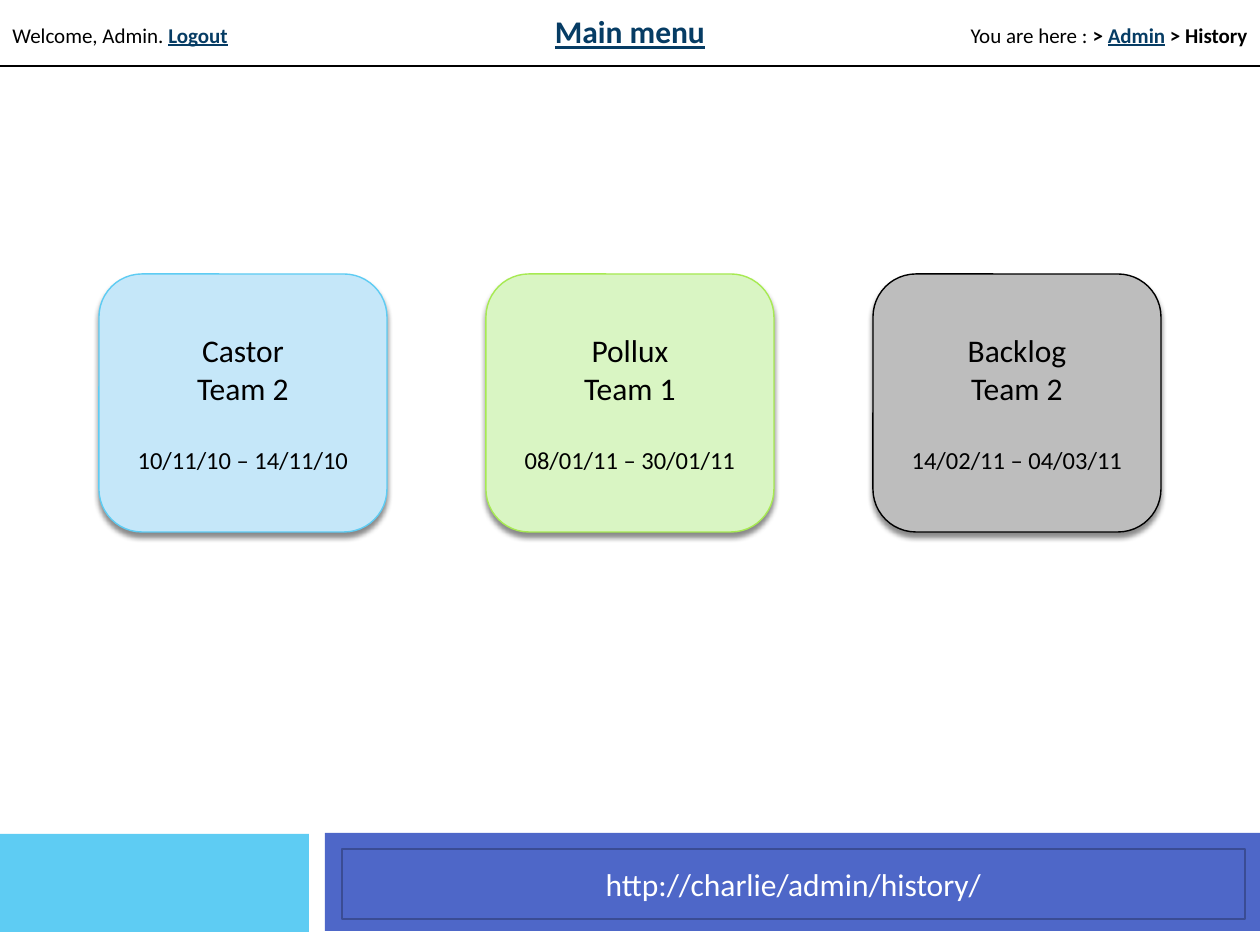
from dataclasses import dataclass

from lxml import etree
from pptx import Presentation
from pptx import util as u
from pptx.dml.color import RGBColor
from pptx.enum import shapes, text
from pptx.oxml import ns

EMU_PER_PX = 914400 / 126
PAGE_W, PAGE_H = 1260, 945
CARD_LEFT, CARD_TOP, CARD_W, CARD_H, CARD_STEP = 99, 274, 288, 258, 387
LEFT, CENTER, RIGHT = text.PP_ALIGN.LEFT, text.PP_ALIGN.CENTER, text.PP_ALIGN.RIGHT


def px(*lengths):
    return [u.Emu(round(length * EMU_PER_PX)) for length in lengths]


@dataclass(frozen=True)
class Theme:
    font: str = "Calibri"
    ink: str = "000000"
    light: str = "FFFFFF"
    link: str = "063C64"
    sky: str = "5ECCF3"
    sky_pale: str = "C5E7F9"
    green: str = "A7EA52"
    green_pale: str = "D9F5C3"
    gray: str = "BDBDBD"
    blue: str = "4E67C8"
    blue_dark: str = "3A4C94"
    large: int = 18
    medium: int = 14
    small: int = 12


class PageBuilder:
    def __init__(self, page, theme):
        self.page = page
        self.theme = theme

    def style(self, span, size, color, bold=False, underline=False):
        font = span.font
        font.name, font.size = self.theme.font, u.Pt(size)
        font.bold, font.underline = bold, underline
        font.color.rgb = RGBColor.from_string(color)

    def title(self, wording, *bounds):
        box = self.page.shapes.title
        box.left, box.top, box.width, box.height = px(*bounds)
        frame = box.text_frame
        frame.text = wording
        frame.word_wrap = True
        frame.auto_size = text.MSO_AUTO_SIZE.SHAPE_TO_FIT_TEXT
        frame.vertical_anchor = text.MSO_ANCHOR.TOP
        para = frame.paragraphs[0]
        para.alignment = CENTER
        self.style(para.runs[0], self.theme.large, self.theme.link, True, True)

    def label(self, spans, align, *bounds):
        """Add one line of (wording, bold, is_link) spans."""
        box = self.page.shapes.add_textbox(*px(*bounds))
        frame = box.text_frame
        frame.word_wrap = False
        frame.auto_size = text.MSO_AUTO_SIZE.SHAPE_TO_FIT_TEXT
        para = frame.paragraphs[0]
        para.alignment = align
        for wording, bold, is_link in spans:
            span = para.add_run()
            span.text = wording
            color = self.theme.link if is_link else self.theme.ink
            self.style(span, self.theme.small, color, bold, is_link)

    def rule(self, y):
        line = self.page.shapes.add_connector(
            shapes.MSO_CONNECTOR.STRAIGHT, *px(0, y, PAGE_W, y))
        line.line.color.rgb = RGBColor.from_string(self.theme.ink)
        line.line.width = u.Pt(1.25)
        etree.SubElement(line._element.spPr, ns.qn("a:effectLst"))

    def block(self, fill, *bounds, line=None, width=1.5,
              kind=shapes.MSO_SHAPE.RECTANGLE):
        box = self.page.shapes.add_shape(kind, *px(*bounds))
        box.shadow.inherit = False
        box.fill.solid()
        box.fill.fore_color.rgb = RGBColor.from_string(fill)
        if line:
            box.line.color.rgb = RGBColor.from_string(line)
            box.line.width = u.Pt(width)
        else:
            box.line.fill.background()
        return box

    def center_text(self, box, lines, color):
        """Centre (wording, size, space before) lines in a box."""
        frame = box.text_frame
        frame.word_wrap = True
        frame.vertical_anchor = text.MSO_ANCHOR.MIDDLE
        frame.text = "\n".join(wording for wording, _, _ in lines)
        for para, (_, size, gap) in zip(frame.paragraphs, lines):
            para.alignment = CENTER
            para.space_before = u.Pt(gap)
            self.style(para.runs[0], size, color)

    def drop_shadow(self, box):
        effects = box._element.spPr.find(ns.qn("a:effectLst"))
        shadow = etree.SubElement(
            effects, ns.qn("a:outerShdw"), blurRad=str(u.Pt(3)),
            dist=str(u.Pt(2.4)), dir="5400000", rotWithShape="0")
        color = etree.SubElement(shadow, ns.qn("a:srgbClr"), val=self.theme.ink)
        etree.SubElement(color, ns.qn("a:alpha"), val="45000")

    def card(self, column, name, team, dates, fill, line):
        box = self.block(
            fill, CARD_LEFT + column * CARD_STEP, CARD_TOP, CARD_W, CARD_H,
            line=line, width=0.79, kind=shapes.MSO_SHAPE.ROUNDED_RECTANGLE)
        self.drop_shadow(box)
        large, medium = self.theme.large, self.theme.medium
        lines = [(name, large, 0), (team, large, 0), (dates, medium, 22)]
        self.center_text(box, lines, self.theme.ink)


def main():
    deck = Presentation()
    deck.slide_width, deck.slide_height = px(PAGE_W, PAGE_H)
    page = deck.slides.add_slide(deck.slide_layouts.get_by_name("Title Only"))
    theme = Theme()
    builder = PageBuilder(page, theme)

    builder.block(theme.sky, -1, 834, 310, 98)
    builder.block(theme.blue, 325, 833, 935, 98)
    address = builder.block(theme.blue, 342, 849, 903, 70, line=theme.blue_dark)
    builder.center_text(address, [("http://charlie/admin/history/", theme.large, 0)],
                        theme.light)

    builder.rule(66)
    builder.label([("Welcome, Admin. ", False, False), ("Logout", True, True)],
                  LEFT, 0, 16, 243, 38)
    builder.label([("You are here : ", False, False), ("> ", True, False),
                   ("Admin", True, True), (" > History", True, False)],
                  RIGHT, 954, 16, 306, 38)
    builder.title("Main menu", 526, 6, 208, 50)

    cards = [
        ("Castor", "Team 2", "10/11/10 – 14/11/10", theme.sky_pale, theme.sky),
        ("Pollux", "Team 1", "08/01/11 – 30/01/11", theme.green_pale, theme.green),
        ("Backlog", "Team 2", "14/02/11 – 04/03/11", theme.gray, theme.ink),
    ]
    for column, card in enumerate(cards):
        builder.card(column, *card)

    deck.save("out.pptx")


if __name__ == "__main__":
    main()
